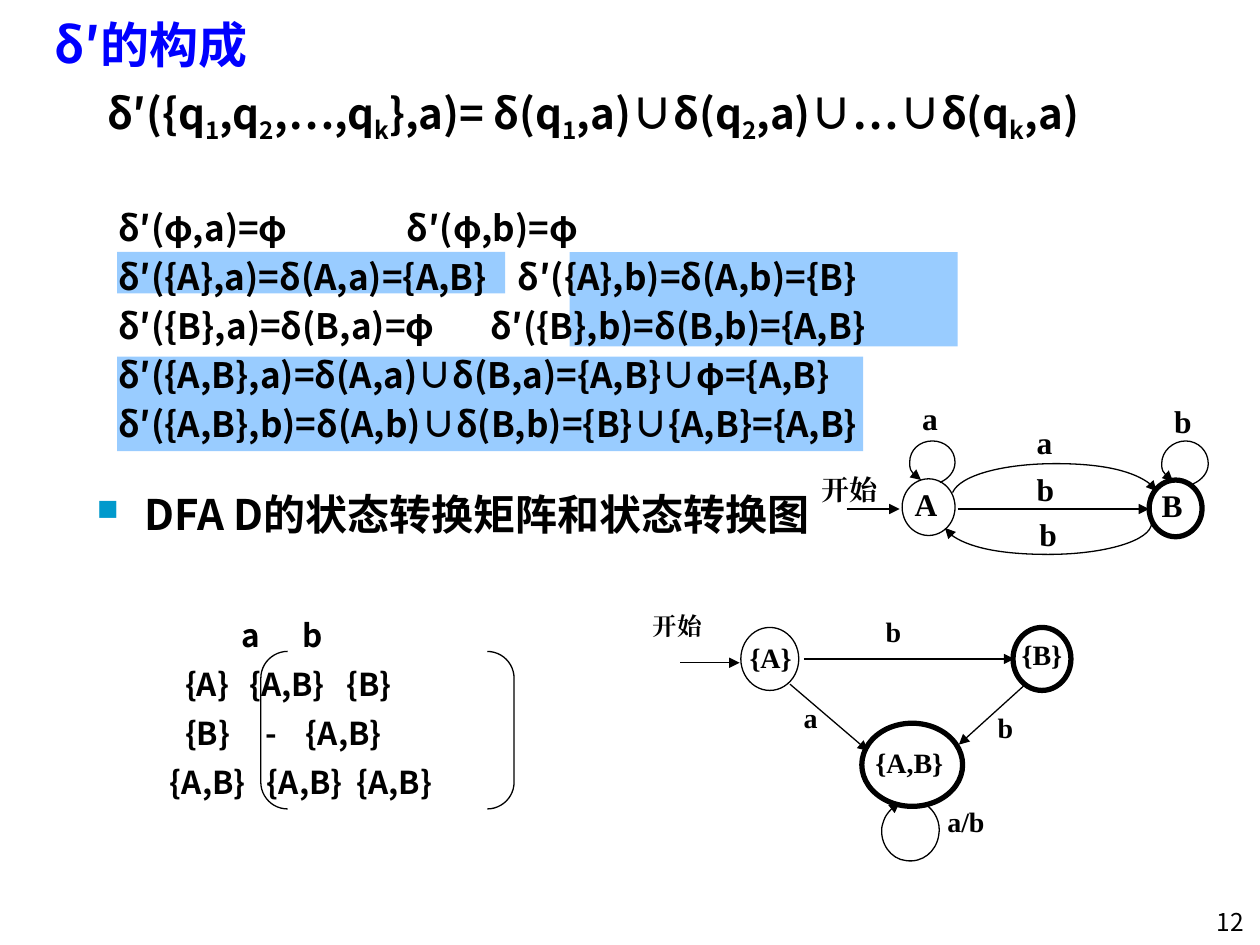
from lxml import etree
from pptx import Presentation
from pptx.dml.color import RGBColor
from pptx.enum.shapes import MSO_CONNECTOR, MSO_SHAPE
from pptx.enum.text import MSO_ANCHOR, MSO_AUTO_SIZE, PP_ALIGN
from pptx.oxml.ns import qn
from pptx.util import Inches, Pt

RECT, OVAL = MSO_SHAPE.RECTANGLE, MSO_SHAPE.OVAL
BRACKETS = MSO_SHAPE.DOUBLE_BRACKET
STRAIGHT = MSO_CONNECTOR.STRAIGHT
LEFT, RIGHT, JUSTIFY = PP_ALIGN.LEFT, PP_ALIGN.RIGHT, PP_ALIGN.JUSTIFY
TOP, MIDDLE = MSO_ANCHOR.TOP, MSO_ANCHOR.MIDDLE
NO_FIT = MSO_AUTO_SIZE.NONE

THEME = {
    "sans": "Noto Sans CJK SC", "serif": "Times New Roman",
    "ink": "000000", "title": "0000FF", "mark": "99CCFF",
    "bullet": "0099CC", "paper": "FFFFFF",
    "title_size": 28, "formula_size": 24, "equation_size": 20,
    "matrix_size": 18, "note_size": 14, "small_size": 16, "big_size": 18,
    "thin": 0.75, "thick": 3,
}

TITLE = "δ′的构成"
# Every second piece between underscores is a subscript
FORMULA = "δ′({q_1_,q_2_,…,q_k_},a)= δ(q_1_,a)∪δ(q_2_,a)∪…∪δ(q_k_,a)"
HEADING = "DFA D的状态转换矩阵和状态转换图"
PAGE = "12"

# Text, tab stops
EQUATIONS = [
    ("δ′(φ,a)=φ\tδ′(φ,b)=φ", [2.29]),
    ("δ′({A},a)=δ(A,a)={A,B}\tδ′({A},b)=δ(A,b)={B}", [3.17]),
    ("δ′({B},a)=δ(B,a)=φ\tδ′({B},b)=δ(B,b)={A,B}", [2.95]),
    ("δ′({A,B},a)=δ(A,a)∪δ(B,a)={A,B}∪φ={A,B}", []),
    ("δ′({A,B},b)=δ(A,b)∪δ(B,b)={B}∪{A,B}={A,B}", []),
]
MATRIX = [
    ("\ta\tb", [0.57, 1.05]),
    ("\t{A}\t{A,B}\t{B}", [0.12, 0.63, 1.4]),
    ("\t{B}\t-\t{A,B}", [0.12, 0.76, 1.08]),
    ("{A,B}\t{A,B}\t{A,B}", [0.77, 1.48]),
]
HIGHLIGHTS = [(0.93, 2, 3.08, 0.33), (4.52, 2, 3.08, 0.75), (0.93, 2.83, 5.92, 0.75)]

# States: box, line weight. Labels: text, box, size, line spacing.
# Arrows: from, to. Curves: Bezier points, end that has the arrowhead.
DFA = {
    "fill": None,
    "states": [((5.88, 4.98, 0.46, 0.5), "thin"), ((8.04, 4.98, 0.46, 0.5), "thick"),
               ((6.84, 5.74, 0.8, 0.66), "thick")],
    "labels": [
        ("a/b", (7.42, 6.34, 0.81, 0.66), "small_size", 1),
        ("a", (6.28, 5.51, 0.59, 0.66), "small_size", 1),
        ("b", (7.82, 5.59, 0.59, 0.66), "small_size", 1),
        ("b", (6.93, 4.83, 0.59, 0.42), "small_size", 1),
        ("开始", (5.08, 4.8, 0.91, 0.66), "note_size", 1),
        ("{A}", (5.85, 4.93, 0.69, 0.61), "small_size", 1.4),
        ("{B}", (8.01, 4.93, 0.69, 0.61), "small_size", 1.3),
        ("{A,B}", (6.85, 5.76, 0.97, 0.63), "small_size", 1.4),
    ],
    "arrows": [((6.38, 5.23), (8.05, 5.23)), ((5.4, 5.26), (5.87, 5.26)),
               ((8.14, 5.43), (7.61, 5.91)), ((6.27, 5.43), (6.89, 5.96))],
    "curves": [
        ([(7.34, 6.38), (7.42, 6.43), (7.47, 6.53), (7.45, 6.63), (7.43, 6.76),
          (7.32, 6.85), (7.19, 6.83), (7.07, 6.82), (6.98, 6.69), (7, 6.56),
          (7.02, 6.48), (7.07, 6.41), (7.14, 6.37)], "tailEnd"),
    ],
}
NFA = {
    "fill": "paper",
    "states": [((7.16, 3.8, 0.42, 0.45), "thin"), ((9.12, 3.81, 0.42, 0.45), "thick")],
    "labels": [
        ("A", (7.16, 3.8, 0.52, 0.45), "big_size", 1),
        ("B", (9.12, 3.81, 0.52, 0.45), "big_size", 1),
        ("a", (7.22, 3.12, 0.53, 0.5), "big_size", 1),
        ("a", (8.13, 3.31, 0.53, 0.5), "big_size", 1),
        ("b", (8.13, 3.68, 0.53, 0.5), "big_size", 1),
        ("b", (8.15, 4.04, 0.53, 0.5), "big_size", 1),
        ("b", (9.22, 3.14, 0.53, 0.5), "big_size", 1),
        ("开始", (6.42, 3.7, 0.81, 0.5), "small_size", 1),
    ],
    "arrows": [((6.72, 4.04), (7.14, 4.04)), ((7.6, 4.04), (9.12, 4.04))],
    "curves": [
        ([(7.46, 3.83), (7.53, 3.8), (7.58, 3.74), (7.58, 3.67), (7.58, 3.57),
          (7.5, 3.5), (7.4, 3.5), (7.3, 3.5), (7.22, 3.57), (7.22, 3.67),
          (7.22, 3.73), (7.25, 3.78), (7.31, 3.81)], "tailEnd"),
        ([(9.47, 3.84), (9.54, 3.81), (9.59, 3.75), (9.59, 3.68), (9.59, 3.58),
          (9.51, 3.5), (9.41, 3.5), (9.31, 3.5), (9.22, 3.58), (9.22, 3.68),
          (9.22, 3.74), (9.26, 3.79), (9.31, 3.82)], "tailEnd"),
        ([(7.5, 4.19), (7.56, 4.31), (7.91, 4.4), (8.32, 4.4), (8.77, 4.4),
          (9.14, 4.29), (9.14, 4.15)], "headEnd"),
        ([(7.56, 3.91), (7.62, 3.77), (7.97, 3.68), (8.38, 3.68), (8.77, 3.68),
          (9.11, 3.77), (9.18, 3.9)], "tailEnd"),
    ],
}


def color(name):
    return RGBColor.from_string(THEME[name])


def add_run(p, text, size, font="sans", ink="ink", bold=True):
    r = p.add_run()
    r.text = text
    r.font.size, r.font.bold = Pt(THEME[size]), bold
    r.font.name = THEME[font]
    r.font.color.rgb = color(ink)
    rPr = r._r.get_or_add_rPr()
    etree.SubElement(rPr, qn("a:ea"), typeface=THEME[font])
    return rPr


def add_text(slide, box, lines, size, align=JUSTIFY, spacing=1, before=0, inset=0.1, **style):
    """Add a text box; each line is a text and its tab stops in inches."""
    tf = slide.shapes.add_textbox(*map(Inches, box)).text_frame
    tf.word_wrap, tf.vertical_anchor = True, TOP
    tf.margin_left = Inches(inset)
    for i, (text, stops) in enumerate(lines):
        p = tf.paragraphs[0] if i == 0 else tf.add_paragraph()
        p.alignment, p.line_spacing, p.space_before = align, spacing, Pt(before)
        if stops:
            tabs = etree.SubElement(p._p.get_or_add_pPr(), qn("a:tabLst"))
            for stop in stops:
                etree.SubElement(tabs, qn("a:tab"), pos=str(Inches(stop)), algn="l")
        add_run(p, text, size, **style)
    return tf


def add_shape(slide, kind, box, fill=None, weight=None):
    sp = slide.shapes.add_shape(kind, *map(Inches, box))
    return format_shape(sp, fill, weight)


def format_shape(sp, fill, weight):
    sp.shadow.inherit = False
    if fill:
        sp.fill.solid()
        sp.fill.fore_color.rgb = color(fill)
    else:
        sp.fill.background()
    if weight:
        set_line(sp, weight)
    else:
        sp.line.fill.background()
    return sp


def set_line(sp, weight, arrow=None):
    sp.line.color.rgb, sp.line.width = color("ink"), Pt(THEME[weight])
    if arrow:
        ln = sp._element.spPr.find(qn("a:ln"))
        etree.SubElement(ln, qn("a:" + arrow), type="triangle")


def add_curve(slide, points, arrow):
    """Draw a freeform and turn each three segments into one Bezier curve."""
    emu = [(Inches(x), Inches(y)) for x, y in points]
    builder = slide.shapes.build_freeform(*emu[0])
    builder.add_line_segments(emu[1:], close=False)
    sp = format_shape(builder.convert_to_shape(), None, "thin")
    set_line(sp, "thin", arrow)
    segments = list(sp._element.iter(qn("a:lnTo")))
    for i in range(0, len(segments), 3):
        curve = etree.Element(qn("a:cubicBezTo"))
        segments[i].addprevious(curve)
        for segment in segments[i:i + 3]:
            curve.append(segment[0])
            segment.getparent().remove(segment)


def add_diagram(slide, diagram):
    for start, end in diagram["arrows"]:
        line = slide.shapes.add_connector(STRAIGHT, *map(Inches, start + end))
        set_line(line, "thin", "tailEnd")
        etree.SubElement(line._element.spPr, qn("a:effectLst"))
    for box, weight in diagram["states"]:
        add_shape(slide, OVAL, box, diagram["fill"], weight)
    for points, arrow in diagram["curves"]:
        add_curve(slide, points, arrow)
    for text, box, size, spacing in diagram["labels"]:
        add_text(slide, box, [(text, [])], size, spacing=spacing, font="serif")


def add_title(slide):
    title = slide.shapes.title
    title.left, title.top, title.width, title.height = map(Inches, (0.33, 0.17, 9.42, 0.92))
    tf = title.text_frame
    tf.word_wrap, tf.auto_size, tf.vertical_anchor = True, NO_FIT, MIDDLE
    p, formula = tf.paragraphs[0], tf.add_paragraph()
    p.alignment = formula.alignment = LEFT
    add_run(p, TITLE, "title_size", ink="title")
    formula.space_before = Pt(8)
    formula._p.get_or_add_pPr().set("marL", str(Inches(0.42)))
    for i, piece in enumerate(FORMULA.split("_")):
        rPr = add_run(formula, piece, "formula_size")
        if i % 2:
            rPr.set("baseline", "-25000")


def add_heading(slide):
    tf = add_text(slide, (0.67, 3.83, 9.12, 0.75), [(HEADING, [])], "formula_size", before=4.8)
    pPr = tf.paragraphs[0]._p.get_or_add_pPr()
    pPr.set("marL", str(Inches(0.38)))
    pPr.set("indent", str(Inches(-0.38)))
    bullet = etree.SubElement(pPr, qn("a:buClr"))
    etree.SubElement(bullet, qn("a:srgbClr"), val=THEME["bullet"])
    etree.SubElement(pPr, qn("a:buSzPct"), val="70000")
    etree.SubElement(pPr, qn("a:buChar"), char="■")


def main():
    prs = Presentation()
    prs.slide_width, prs.slide_height = Inches(10), Inches(7.5)
    slide = prs.slides.add_slide(prs.slide_layouts[5])
    for box in HIGHLIGHTS:
        add_shape(slide, RECT, box, "mark")
    add_title(slide)
    add_text(slide, (0.25, 1.59, 9.5, 2.28), EQUATIONS, "equation_size", before=4, inset=0.69)
    add_text(slide, (1.25, 4.75, 2.85, 1.5), MATRIX, "matrix_size", spacing=1.3)
    brackets = add_shape(slide, BRACKETS, (2.07, 5.17, 2.01, 1.25), weight="thin")
    brackets.adjustments[0] = 0.17
    add_diagram(slide, DFA)
    add_heading(slide)
    add_text(slide, (9.18, 7.15, 0.79, 0.3), [(PAGE, [])], "note_size", align=RIGHT, bold=False)
    add_diagram(slide, NFA)
    prs.save("out.pptx")


if __name__ == "__main__":
    main()
